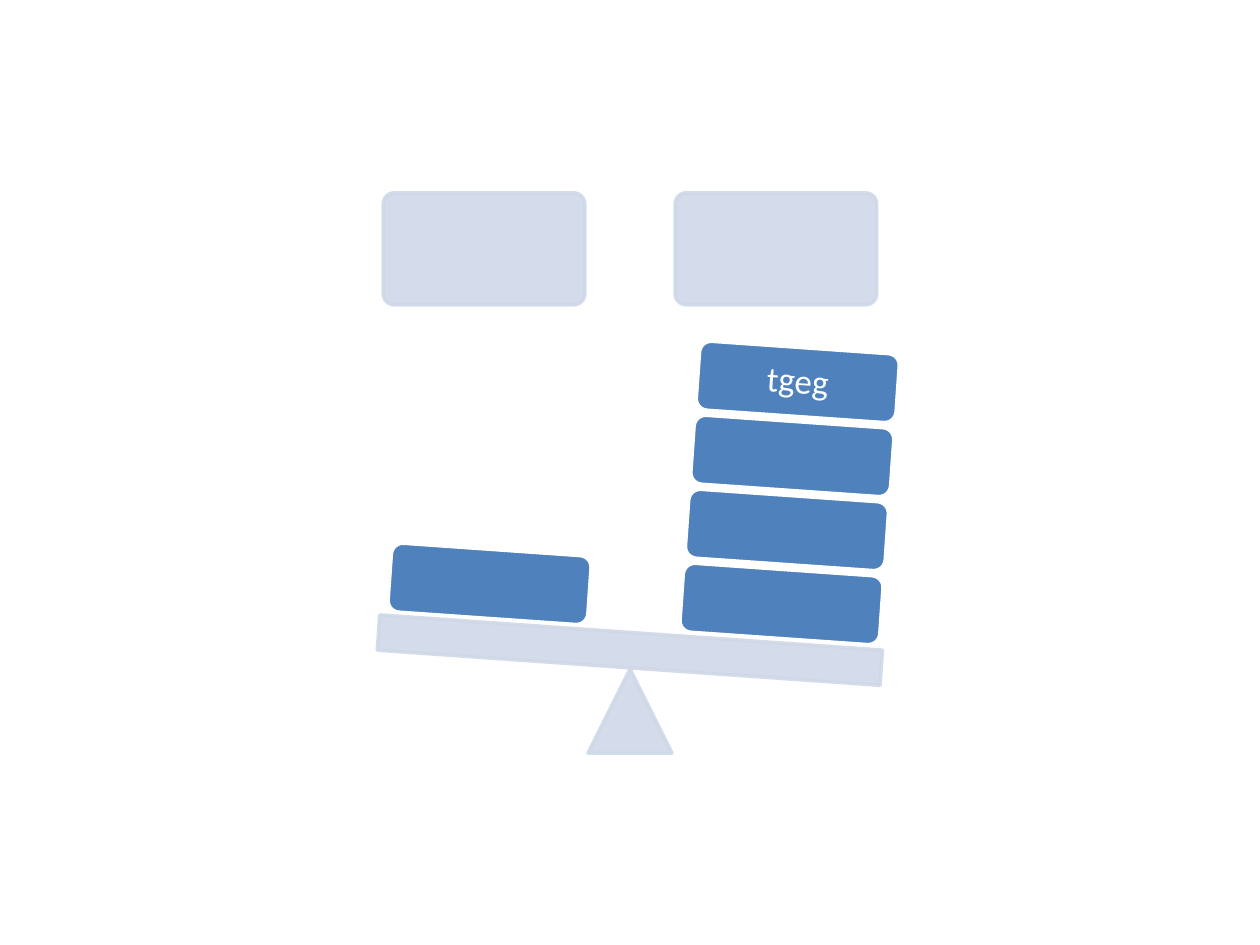
"""Build a balance slide with stacked blocks on a tilted beam."""
from lxml.etree import SubElement
from pptx import Presentation
from pptx.dml.color import RGBColor
from pptx.enum.shapes import MSO_SHAPE
from pptx.enum.text import MSO_ANCHOR, PP_ALIGN
from pptx.oxml.ns import qn
from pptx.util import Pt

PALE = RGBColor(0xD0, 0xD8, 0xE8)
BLUE = RGBColor(0x4F, 0x81, 0xBD)
WHITE = RGBColor(0xFF, 0xFF, 0xFF)
TILT = 4
ROUND = MSO_SHAPE.ROUNDED_RECTANGLE

SCALE = [
    (ROUND, (219, 110.2, 115.2, 64), 0),
    (ROUND, (385.8, 110.2, 115.2, 64), 0),
    (MSO_SHAPE.ISOSCELES_TRIANGLE, (336, 382.3, 48, 48), 0),
    (MSO_SHAPE.RECTANGLE, (216, 361.4, 288, 20.2), TILT),
]
STACKS = [
    (389.4, 325.4, ["", "", "", "tgeg"]),
    (222.6, 313.9, [""]),
]
BLOCK = (114.4, 39.5)
STEP = (3.1, -42.3)


def draw(slide, kind, box, turn, fill, line):
    shape = slide.shapes.add_shape(kind, *map(Pt, box))
    shape.shadow.inherit = False
    shape.rotation = turn
    shape.fill.solid()
    shape.fill.fore_color.rgb = fill
    shape.line.color.rgb = line
    shape.line.width = Pt(2)
    return shape


def fade(shape):
    for color in shape.element.spPr.iter(qn("a:srgbClr")):
        SubElement(color, qn("a:alpha"), val="90000")


def label(shape, text):
    frame = shape.text_frame
    frame.vertical_anchor = MSO_ANCHOR.MIDDLE
    frame.margin_left = frame.margin_right = Pt(6)
    frame.margin_top = frame.margin_bottom = Pt(6)
    para = frame.paragraphs[0]
    para.text = text
    para.alignment = PP_ALIGN.CENTER
    para.line_spacing = 0.9
    para.font.name = "Calibri"
    para.font.size = Pt(20)
    para.font.color.rgb = WHITE


deck = Presentation()
deck.slide_width, deck.slide_height = Pt(720), Pt(540)
slide = deck.slides.add_slide(deck.slide_layouts[6])

for kind, box, turn in SCALE:
    part = draw(slide, kind, box, turn, PALE, PALE)
    if kind == ROUND:
        part.adjustments[0] = 0.1
    fade(part)

for left, top, names in STACKS:
    for row, name in enumerate(names):
        box = (left + row * STEP[0], top + row * STEP[1], *BLOCK)
        block = draw(slide, ROUND, box, TILT, BLUE, WHITE)
        if name:
            label(block, name)

deck.save("out.pptx")
